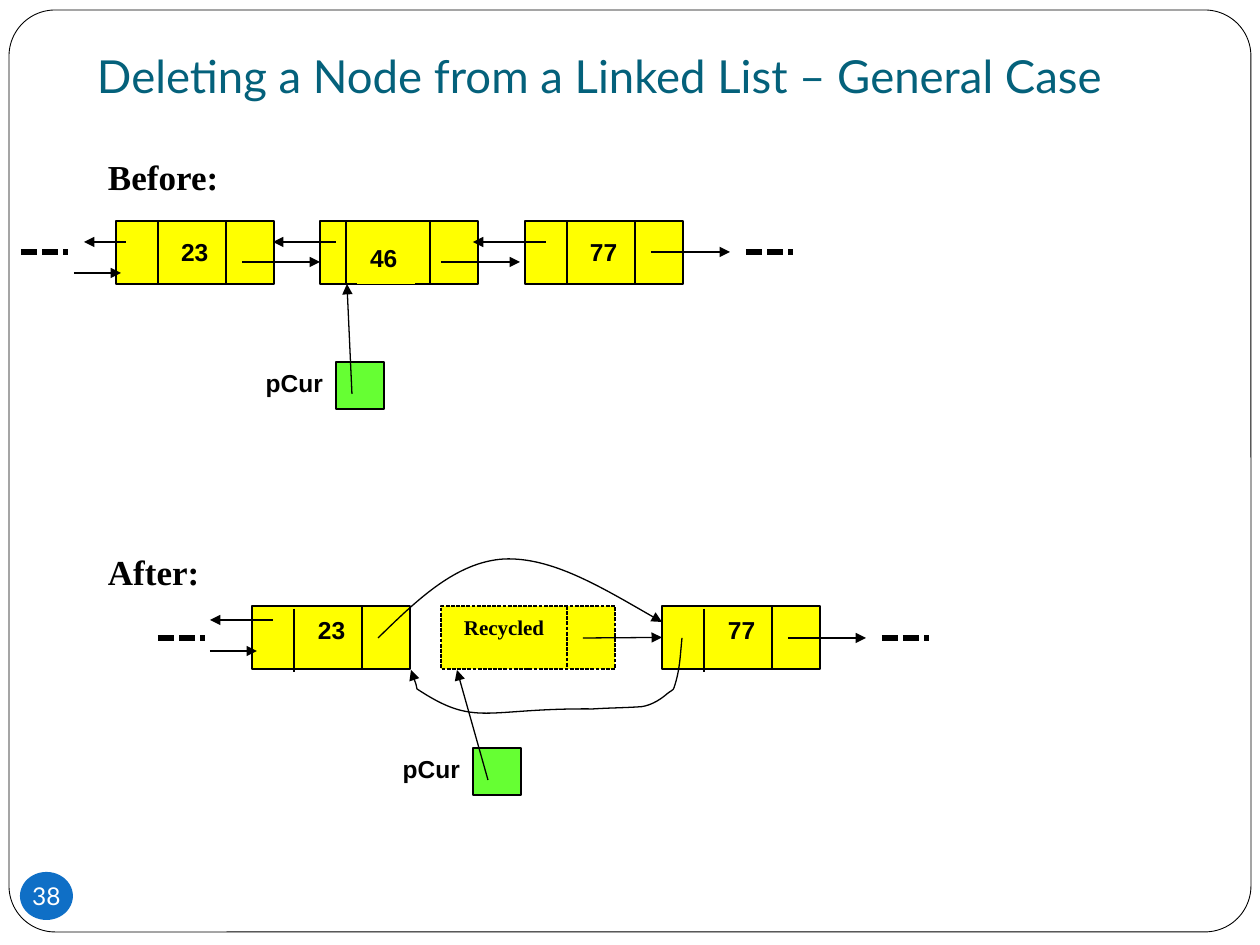
import pptx
import pptx.util
import pptx.dml.color
import pptx.enum.dml
import pptx.enum.shapes
import pptx.enum.text
import pptx.oxml
import pptx.oxml.ns

PX = 914400 // 126
MSO = pptx.enum.shapes.MSO_SHAPE
ALIGN = pptx.enum.text.PP_ALIGN
ANCHOR = pptx.enum.text.MSO_ANCHOR
DOTS = pptx.enum.dml.MSO_LINE.SQUARE_DOT
BLACK, WHITE, YELLOW, GREEN = "000000", "FFFFFF", "FFFF00", "66FF33"
SERIF, SANS, LATO = "Times New Roman", "Arial", "Lato"
NODE_H = 63

# Content: positions in px
TITLE = "Deleting a Node from a Linked List – General Case"
HEADINGS = [("Before:", 150), ("After:", 545)]
# name, text, x, y, width, left divider, its drop, right divider, label (dx, dy, width)
NODES = [
    ("before 46", "46", 320, 221, 158, 26, 0, 110, (37, 16, 58)),
    ("before 23", "23", 116, 221, 158, 42, 0, 110, (52, 10, 58)),
    ("before 77", "77", 525, 221, 158, 42, 0, 110, (52, 10, 58)),
    ("recycled", "Recycled", 441, 606, 174, None, 0, 126, (10, 3, 116)),
    ("after 23", "23", 252, 606, 158, 42, 3, 110, (53, 3, 58)),
    ("after 77", "77", 662, 606, 158, 42, 3, 110, (53, 3, 58)),
]
POINTERS = [("pCur", 336, 362), ("pCur", 473, 748)]
ELLIPSES = [(21, 252), (746, 252), (158, 638), (882, 638)]  # each 47 long
ARROWS = [
    (242, 262, 320, 262), (441, 262, 520, 262), (651, 252, 730, 252),
    (74, 273, 121, 273), (546, 242, 473, 242), (336, 242, 273, 242),
    (126, 242, 84, 242), (352, 394, 347, 284),
    (788, 638, 866, 638), (210, 651, 257, 651),
    (273, 620, 210, 620), (488, 780, 457, 670),
]
# Start point, then three points for each Bézier segment
CURVES = [
    [(378, 638), (417, 600), (456, 562), (504, 559),
     (552, 557), (606, 590), (662, 622)],
    [(682, 638), (680, 658), (680, 670), (674, 688), (674, 690), (669, 692), (667, 694),
     (659, 701), (648, 707), (638, 707), (622, 708), (609, 708), (593, 709),
     (484, 708), (476, 728), (417, 689), (416, 683), (413, 677), (411, 670)],
]


def color(hex_string):
    return pptx.dml.color.RGBColor.from_string(hex_string)


def box(x, y, w, h):
    return [round(v * PX) for v in (x, y, w, h)]


def set_line(line, width=0.75, dash=None):
    line.color.rgb = color(BLACK)
    line.width = pptx.util.Pt(width)
    if dash:
        line.dash_style = dash


def write(sp, text, size, font, rgb=BLACK, bold=True, align=ALIGN.LEFT,
          anchor=ANCHOR.TOP, margins=(13, 6, 13, 6), wrap=True):
    tf = sp.text_frame
    tf.text = text
    tf.word_wrap = wrap
    tf.vertical_anchor = anchor
    tf.margin_left, tf.margin_top, tf.margin_right, tf.margin_bottom = box(*margins)
    p = tf.paragraphs[0]
    p.alignment = align
    f = p.runs[0].font
    f.size, f.name, f.bold = pptx.util.Pt(size), font, bold
    f.color.rgb = color(rgb)


def shape(kind, x, y, w, h, fill, width=None, dash=None):
    sp = s.shapes.add_shape(kind, *box(x, y, w, h))
    sp.shadow.inherit = False
    sp.fill.solid()
    sp.fill.fore_color.rgb = color(fill)
    if width:
        set_line(sp.line, width, dash)
    else:
        sp.line.fill.background()
    return sp


def add_head(sp):
    sp.line._get_or_add_ln().append(pptx.oxml.parse_xml(
        '<a:tailEnd type="triangle" %s/>' % pptx.oxml.ns.nsdecls("a")))


def line(x1, y1, x2, y2, width=0.75, dash=None, head=False):
    c = s.shapes.add_connector(pptx.enum.shapes.MSO_CONNECTOR.STRAIGHT,
                               *box(x1, y1, x2, y2))
    set_line(c.line, width, dash)
    if head:
        add_head(c)
    c._element.spPr.append(pptx.oxml.parse_xml(
        "<a:effectLst %s/>" % pptx.oxml.ns.nsdecls("a")))
    return c


def curve(points):
    fb = s.shapes.build_freeform(*points[0], scale=PX)
    fb.add_line_segments(points[1:], close=False)
    sp = fb.convert_to_shape()
    sp.shadow.inherit = False
    sp.fill.background()
    set_line(sp.line)
    add_head(sp)
    # Turn each three line segments into one cubic segment
    qn = pptx.oxml.ns.qn
    outline = next(sp._element.iter(qn("a:path")))
    segments = outline.findall(qn("a:lnTo"))
    for i in range(0, len(segments), 3):
        cubic = outline.makeelement(qn("a:cubicBezTo"), {})
        outline.append(cubic)
        for seg in segments[i:i + 3]:
            cubic.append(seg[0])
            outline.remove(seg)


prs = pptx.Presentation()
prs.slide_width, prs.slide_height = pptx.util.Inches(10), pptx.util.Inches(7.5)
s = prs.slides.add_slide(prs.slide_layouts[5])

# Frame behind everything, title, slide number
frame = shape(MSO.ROUNDED_RECTANGLE, 9, 10, 1242, 922, WHITE, 0.5)
frame.adjustments[0] = 0.05
s.shapes._spTree.insert(2, frame._element)
title = s.shapes.title
title.left, title.top, title.width, title.height = box(84, 21, 1071, 95)
write(title, TITLE, 26, LATO, "04617B", False, anchor=ANCHOR.BOTTOM,
      margins=(13, 6, 13, 13))
number = shape(MSO.OVAL, 20, 872, 53, 48, "0F6FC6")
write(number, "38", 14, LATO, WHITE, False, ALIGN.CENTER, ANCHOR.MIDDLE,
      (0, 0, 0, 0), False)

# Headings
for text, y in HEADINGS:
    write(s.shapes.add_textbox(*box(95, y, 200, 52)), text, 20, SERIF)

# List nodes with their labels and dividers
nodes = {}
for name, text, x, y, w, left, drop, right, (dx, dy, label_w) in NODES:
    recycled = name == "recycled"
    dash = DOTS if recycled else None
    nodes[name] = shape(MSO.RECTANGLE, x, y, w, NODE_H, YELLOW, 0.75, dash)
    label = shape(MSO.RECTANGLE, x + dx, y + dy, label_w, 47, YELLOW)
    write(label, text, 12 if recycled else 14, SERIF if recycled else SANS)
    if left:
        line(x + left, y + drop, x + left, y + drop + NODE_H)
    line(x + right, y, x + right, y + NODE_H, dash=dash)

# Pointer boxes with names to their left
for text, x, y in POINTERS:
    shape(MSO.RECTANGLE, x, y, 48, 47, GREEN, 0.75)
    write(s.shapes.add_textbox(*box(x - 110, y, 110, 47)), text, 14, SANS,
          align=ALIGN.RIGHT)

# Dots, arrows and rerouted links
for x, y in ELLIPSES:
    line(x, y, x + 47, y, 3, DOTS)
for ends in ARROWS:
    line(*ends, head=True)
line(583, 638, 662, 638, head=True).end_connect(nodes["after 77"], 1)
for points in CURVES:
    curve(points)

prs.save("out.pptx")
